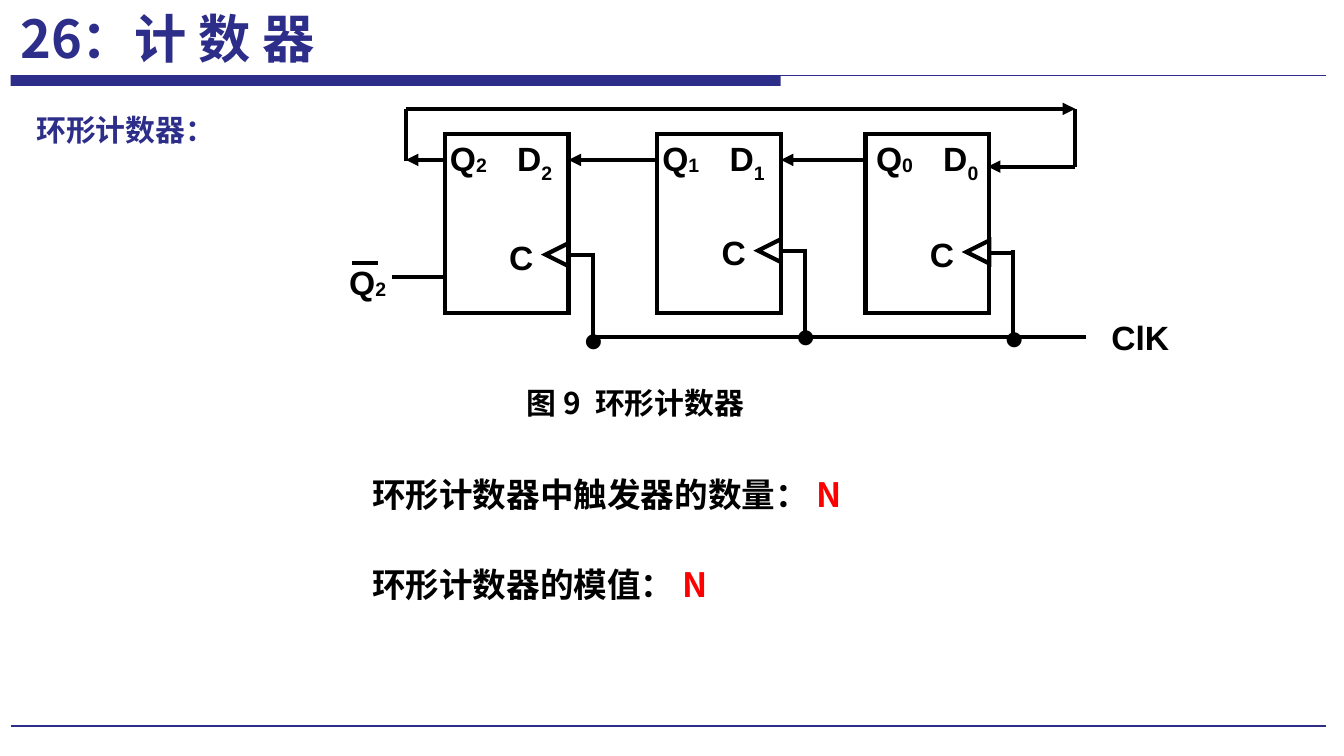
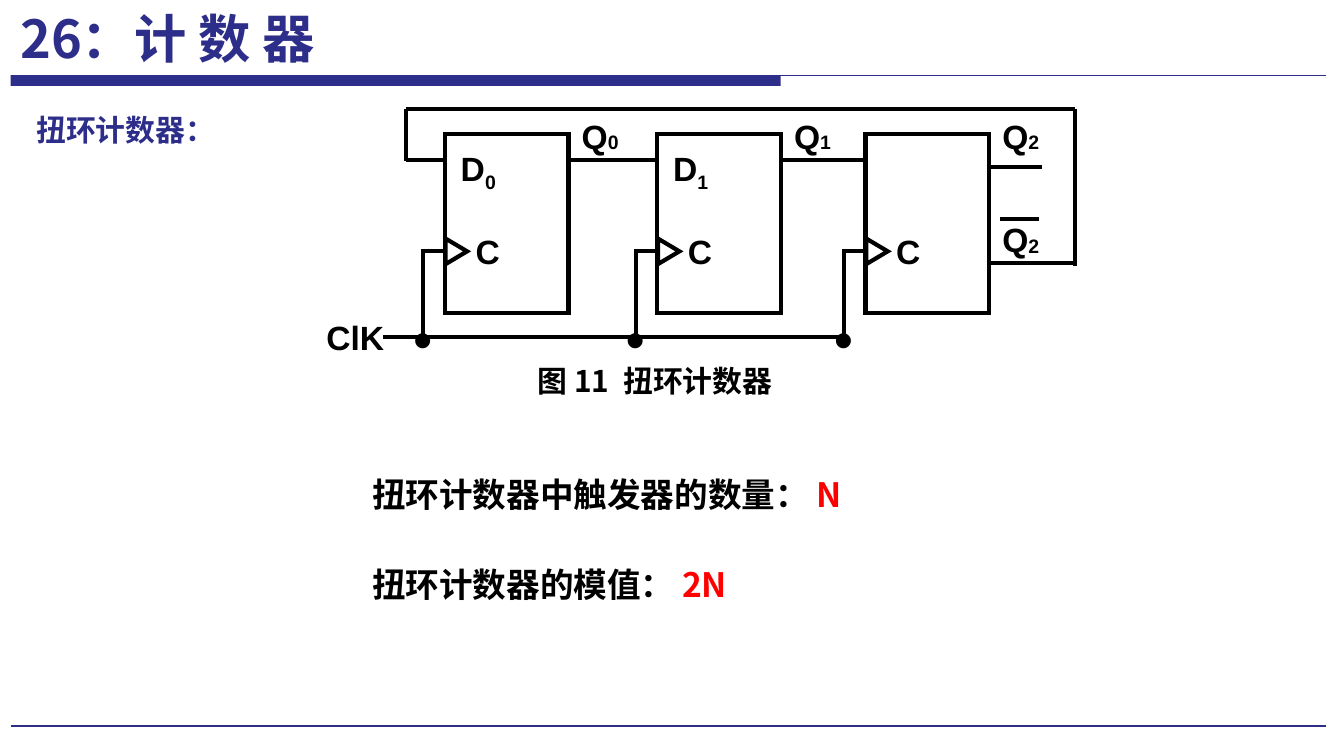
from dataclasses import dataclass
from typing import Any, NamedTuple

from lxml import etree
from pptx import Presentation
from pptx import util as u
from pptx.dml.color import RGBColor
from pptx.enum import shapes, text
from pptx.oxml import ns

Inches, Pt = u.Inches, u.Pt

COLORS = {"navy": "2D2D8A", "ink": "000000", "answer": "FF0000"}
CJK, LATIN = "Noto Sans CJK SC", "Arial"
TITLE = "26：计 数 器"
PAGE_WIDTH = Inches(10)
PAGE_HEIGHT = PAGE_WIDTH * 9 // 16
STAGE_LEFTS = (3.31, 4.89, 6.44)
STAGE_TOP, STAGE_WIDTH, STAGE_HEIGHT = 1.0, 0.92, 1.33
DATA_Y, LAST_Y, FEEDBACK_Y, CLOCK_Y = 1.19, 1.24, 0.81, 2.51
FEEDBACK_LEFT, FEEDBACK_RIGHT = 3.02, 8.0
LEVEL, SUBSCRIPT = -2000, -25000
FRAME = {
    "word_wrap": True,
    "auto_size": text.MSO_AUTO_SIZE.NONE,
    "vertical_anchor": text.MSO_ANCHOR.TOP,
    "margin_left": Inches(0.1),
    "margin_right": Inches(0.1),
    "margin_top": Inches(0.05),
    "margin_bottom": Inches(0.05),
}


class Span(NamedTuple):
    words: str
    size: float = 18
    font: str = CJK
    color: str = "ink"
    baseline: int = 0
    spacing: int = 0


class ClockSide(NamedTuple):
    """Clock input offsets: x from the stage's left edge, y from the wire."""
    edge: float
    wire: float
    tooth: tuple[float, float, float, float]
    rotation: int
    label: tuple[float, float]
    dot: tuple[float, float]
    drop: float


RIGHT_CLOCK = ClockSide(0.92, 1.1, (0.75, -0.09, 0.17, 0.17), 270,
                        (0.38, -0.19), (0.94, 0.34), 0.62)
LEFT_CLOCK = ClockSide(0, -0.16, (-0.01, -0.08, 0.19, 0.16), 90,
                       (0.13, -0.2), (-0.33, 0.36), 0.64)


@dataclass
class Counter:
    name: str
    figure: str
    caption_at: tuple[float, float]
    modulus: str
    clock: ClockSide
    clock_levels: tuple[float, float, float]


RING = Counter("环形计数器", "图 9", (3.75, 2.81), "N", RIGHT_CLOCK, (1.9, 1.87, 1.88))
TWISTED = Counter("扭环计数器", "图 11", (3.83, 2.65), "2N", LEFT_CLOCK, (1.87, 1.87, 1.87))


def rgb(name: str) -> RGBColor:
    return RGBColor.from_string(COLORS[name])


def assign(target: Any, values: dict[str, Any]) -> None:
    for name, value in values.items():
        setattr(target, name, value)


def write(box: Any, spans: list[Span], frame: dict[str, Any] | None = None,
          layout: dict[str, Any] | None = None) -> None:
    """Fill a text shape with one formatted paragraph."""
    assign(box.text_frame, FRAME | (frame or {}))
    para = box.text_frame.paragraphs[0]
    assign(para, {"alignment": text.PP_ALIGN.LEFT} | (layout or {}))
    for span in spans:
        run = para.add_run()
        run.text = span.words
        assign(run.font, {"size": Pt(span.size), "bold": True, "name": span.font})
        run.font.color.rgb = rgb(span.color)
        props = run.font._element
        etree.SubElement(props, ns.qn("a:ea")).set("typeface", span.font)
        for name, value in (("baseline", span.baseline), ("spc", span.spacing)):
            if value:
                props.set(name, str(value))


def place(box: Any, left: float, top: float, width: float, height: float) -> None:
    assign(box, {"left": Inches(left), "top": Inches(top),
                 "width": Inches(width), "height": Inches(height)})


def add_text(page: Any, at: tuple[float, float], size: tuple[float, float],
             spans: list[Span], frame: dict[str, Any] | None = None) -> None:
    box = page.shapes.add_textbox(*map(Inches, at + size))
    write(box, spans, frame)


def add_label(page: Any, left: float, top: float, letter: str, index: str = "",
              baseline: int = LEVEL, width: float = 0.64) -> None:
    spans = [Span(letter, font=LATIN)]
    if index:
        spans.append(Span(index, font=LATIN, baseline=baseline))
    add_text(page, (left, top), (width, 0.39), spans)


def add_line(page: Any, start: tuple[float, float], end: tuple[float, float],
             color: str = "ink", weight: float = 2.25, arrow: bool = False) -> None:
    """Draw a straight line; an arrow points at its end."""
    line = page.shapes.add_connector(shapes.MSO_CONNECTOR.STRAIGHT,
                                     *map(Inches, start + end))
    line.line.color.rgb = rgb(color)
    line.line.width = Pt(weight)
    if arrow:
        tail = etree.SubElement(line.line._get_or_add_ln(), ns.qn("a:tailEnd"))
        tail.set("type", "triangle")
    etree.SubElement(line._element.spPr, ns.qn("a:effectLst"))


def add_outline(page: Any, kind: Any, left: float, top: float,
                width: float, height: float, rotation: int = 0) -> None:
    shape = page.shapes.add_shape(kind, *map(Inches, (left, top, width, height)))
    shape.shadow.inherit = False
    shape.fill.background()
    shape.line.color.rgb = rgb("ink")
    shape.line.width = Pt(2.25)
    corner = etree.SubElement(shape.line._get_or_add_ln(), ns.qn("a:miter"))
    corner.set("lim", "800000")
    shape.rotation = rotation


def add_clock_input(page: Any, left: float, y: float, side: ClockSide) -> None:
    wire = left + side.wire
    add_line(page, (wire, y), (left + side.edge, y))
    add_line(page, (wire, y - 0.02), (wire, y + side.drop))
    dx, dy, width, height = side.tooth
    add_outline(page, shapes.MSO_SHAPE.ISOSCELES_TRIANGLE,
                left + dx, y + dy, width, height, side.rotation)
    add_label(page, left + side.label[0], y + side.label[1], "C", width=0.48)
    add_text(page, (left + side.dot[0], y + side.dot[1]), (0.43, 0.45),
             [Span("•", 28, LATIN)])


def add_frame(page: Any) -> None:
    """Draw the header band and the footer rule."""
    band = page.shapes.add_shape(shapes.MSO_SHAPE.RECTANGLE,
                                 *map(Inches, (0.08, 0.56, 5.73, 0.08)))
    band.shadow.inherit = False
    band.fill.solid()
    band.fill.fore_color.rgb = rgb("navy")
    band.line.fill.background()
    for y, weight in ((0.56, 0.75), (5.4, 1.25)):
        add_line(page, (0.08, y), (9.87, y), "navy", weight)


def add_counter_page(deck: Any, counter: Counter) -> Any:
    """Add everything the two counters have in common."""
    page = deck.slides.add_slide(deck.slide_layouts[1])
    add_frame(page)
    title, body = page.placeholders
    place(title, 0, 0, 2.49, 0.57)
    write(title, [Span(TITLE, 28, color="navy")], {"word_wrap": False},
          {"alignment": text.PP_ALIGN.CENTER})
    place(body, 0.17, 0.65, 8.75, 2.79)
    props = body.text_frame.paragraphs[0]._p.get_or_add_pPr()
    props.set("marL", "0")
    props.set("indent", "0")
    etree.SubElement(props, ns.qn("a:buNone"))
    write(body, [Span(counter.name + "：", 16, color="navy")],
          layout={"line_spacing": 1.5, "space_before": Pt(0)})
    add_text(page, counter.caption_at, (2.33, 0.37),
             [Span(counter.figure, 16), Span(" ", 16, spacing=400), Span(counter.name, 16)],
             {"margin_left": Inches(0.17)})
    facts = (("中触发器的数量： ", "N"), ("的模值： ", counter.modulus))
    for row, (fact, answer) in enumerate(facts):
        add_text(page, (2.67, 3.48 + 0.67 * row), (4, 0.4),
                 [Span(counter.name + fact), Span(answer, color="answer")])
    for left, y in zip(STAGE_LEFTS, counter.clock_levels):
        add_outline(page, shapes.MSO_SHAPE.RECTANGLE,
                    left, STAGE_TOP, STAGE_WIDTH, STAGE_HEIGHT)
        add_clock_input(page, left, y, counter.clock)
    return page


def add_data_wires(page: Any, arrows: bool) -> None:
    """Link neighbouring stages and run the feedback loop over the top."""
    first, second, third = STAGE_LEFTS
    for start, end in ((first, FEEDBACK_LEFT), (second, first + STAGE_WIDTH),
                       (third, second + STAGE_WIDTH)):
        add_line(page, (start, DATA_Y), (end, DATA_Y), arrow=arrows)
    add_line(page, (FEEDBACK_LEFT, DATA_Y + 0.01), (FEEDBACK_LEFT, FEEDBACK_Y))
    add_line(page, (FEEDBACK_LEFT, FEEDBACK_Y), (FEEDBACK_RIGHT, FEEDBACK_Y), arrow=arrows)


def add_ring(deck: Any) -> None:
    page = add_counter_page(deck, RING)
    add_data_wires(page, arrows=True)
    for left, index in zip((3.25, 4.83, 6.42), "210"):
        add_label(page, left, 0.98, "Q", index)
        add_label(page, left + 0.5, 0.98, "D", index, SUBSCRIPT)
    add_line(page, (FEEDBACK_RIGHT, LAST_Y), (FEEDBACK_RIGHT, FEEDBACK_Y))
    add_line(page, (FEEDBACK_RIGHT, LAST_Y), (7.35, LAST_Y), arrow=True)
    add_line(page, (4.42, CLOCK_Y), (8.08, CLOCK_Y))
    add_label(page, 8.17, 2.31, "ClK", width=0.69)
    add_line(page, (2.92, 2.06), (3.31, 2.06))
    add_label(page, 2.5, 1.9, "Q", "2")
    add_line(page, (2.62, 1.96), (2.81, 1.96))


def add_twisted_ring(deck: Any) -> None:
    page = add_counter_page(deck, TWISTED)
    add_data_wires(page, arrows=False)
    for left, index in zip(STAGE_LEFTS, "012"):
        add_label(page, left + STAGE_WIDTH, 0.81, "Q", index)
    for left, index in zip(STAGE_LEFTS[:2], "01"):
        add_label(page, left + 0.02, 1.05, "D", index, SUBSCRIPT)
    add_line(page, (7.35, LAST_Y), (7.75, LAST_Y))
    add_line(page, (7.36, 1.96), (FEEDBACK_RIGHT, 1.96))
    add_line(page, (FEEDBACK_RIGHT, 1.98), (FEEDBACK_RIGHT, FEEDBACK_Y))
    add_line(page, (2.85, CLOCK_Y), (6.28, CLOCK_Y))
    add_label(page, 2.33, 2.31, "ClK", width=0.69)
    add_label(page, 7.36, 1.58, "Q", "2")
    add_line(page, (7.44, 1.63), (7.73, 1.63))


def main() -> None:
    deck = Presentation()
    assign(deck, {"slide_width": PAGE_WIDTH, "slide_height": PAGE_HEIGHT})
    add_ring(deck)
    add_twisted_ring(deck)
    deck.save("out.pptx")


if __name__ == "__main__":
    main()
